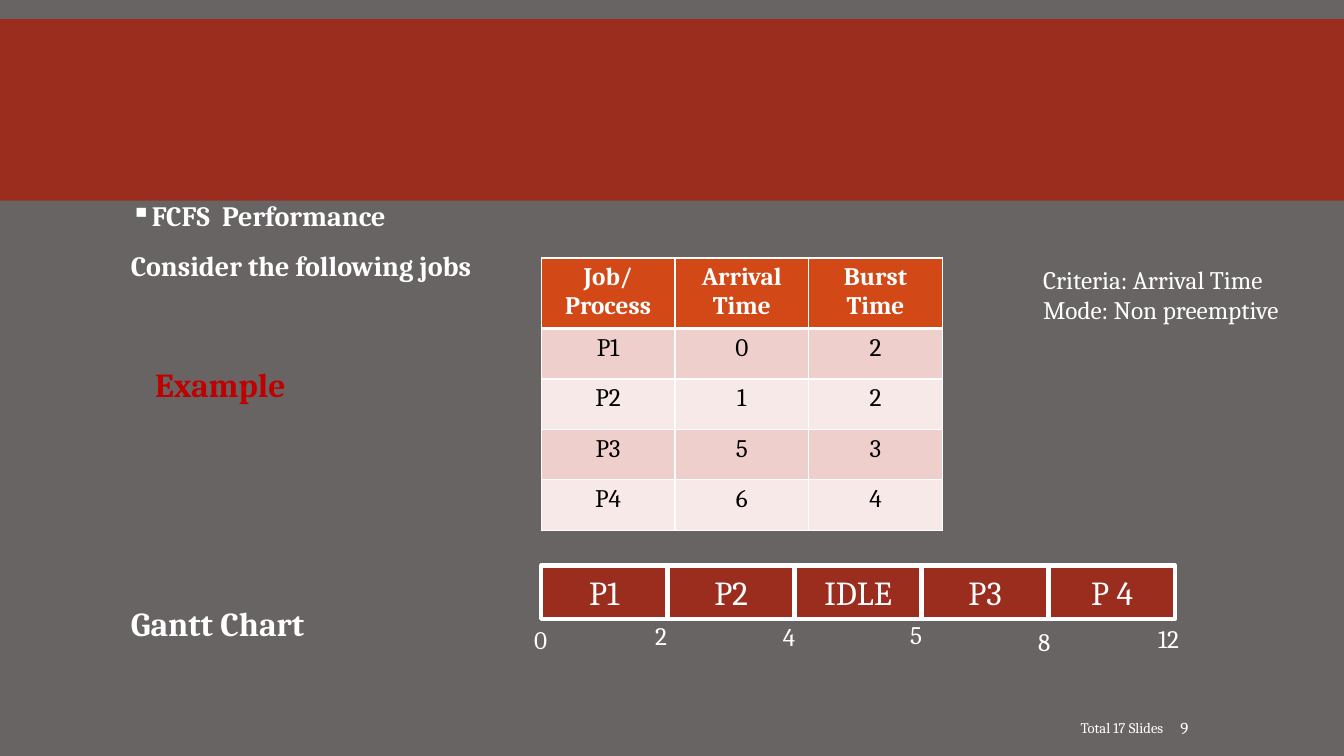
from lxml.etree import SubElement
from pptx import Presentation
from pptx.dml.color import RGBColor
from pptx.enum.shapes import MSO_SHAPE
from pptx.enum.text import MSO_ANCHOR, PP_ALIGN
from pptx.oxml.ns import qn
from pptx.util import Pt

WHITE, RUST, ORANGE, RED = "FFFFFF", "9B2D1F", "D34817", "C00000"
BANDS = ["EFCFCC", "F7E9E8"]
BODY = ["FCFS  Performance", "Consider the following jobs", "Gantt Chart"]
JOBS = [
    ("Job/Process", "Arrival Time", "Burst Time"),
    ("P1", "0", "2"),
    ("P2", "1", "2"),
    ("P3", "5", "3"),
    ("P4", "6", "4"),
]
BARS = ["P1", "P2", "IDLE", "P3", "P 4"]
TICKS = [
    ("0", 374.4, 442.1),
    ("2", 460.8, 439.2),
    ("4", 552.2, 440.6),
    ("5", 643, 438.5),
    ("8", 734.4, 443.5),
    ("12", 820.1, 441.4),
]
CRITERIA = ["Criteria: Arrival Time", "Mode: Non preemptive"]
LEFT, STEP = 386.6, 90.7


def color(code):
    return RGBColor.from_string(code)


def write(frame, text, size=18, ink=WHITE, bold=False, align=PP_ALIGN.LEFT, first=True):
    para = frame.paragraphs[0] if first else frame.add_paragraph()
    para.alignment = align
    run = para.add_run()
    run.text = text
    font = run.font
    font.name, font.size, font.bold = "Cambria", Pt(size), bold
    font.color.rgb = color(ink)
    return para


def frame_at(x, y, w, h, wrap=True, anchor=MSO_ANCHOR.TOP):
    frame = slide.shapes.add_textbox(Pt(x), Pt(y), Pt(w), Pt(h)).text_frame
    frame.word_wrap = wrap
    frame.vertical_anchor = anchor
    return frame


def block(x, y, w, h, edge=0):
    shape = slide.shapes.add_shape(MSO_SHAPE.RECTANGLE, Pt(x), Pt(y), Pt(w), Pt(h))
    shape.shadow.inherit = False
    shape.fill.solid()
    shape.fill.fore_color.rgb = color(RUST)
    if edge:
        shape.line.color.rgb = color(WHITE)
        shape.line.width = Pt(edge)
    else:
        shape.line.fill.background()
    return shape.text_frame


def border(cell, base):
    props = cell._tc.get_or_add_tcPr()
    for spot, (side, width) in enumerate([("L", 1), ("R", 1), ("T", 1), ("B", base)]):
        line = props.makeelement(qn("a:ln" + side), {"w": str(Pt(width))})
        fill = SubElement(line, qn("a:solidFill"))
        SubElement(fill, qn("a:srgbClr"), val=WHITE)
        props.insert(spot, line)


deck = Presentation()
deck.slide_width, deck.slide_height = Pt(960), Pt(540)
slide = deck.slides.add_slide(deck.slide_layouts[6])
slide.background.fill.solid()
slide.background.fill.fore_color.rgb = color("696464")

block(0, 13.7, 960, 129.6)

frame = frame_at(86.4, 141.1, 787.7, 390)
for i, (text, size, gap) in enumerate(zip(BODY, [20, 20, 24], [12, 12, 230])):
    para = write(frame, text, size, bold=True, first=i == 0)
    para.line_spacing = 0.9
    para.space_before, para.space_after = Pt(gap), Pt(2)
props = frame.paragraphs[0]._p.get_or_add_pPr()
props.set("marL", str(Pt(14.4)))
props.set("indent", str(-Pt(14.4)))
tint = SubElement(props, qn("a:buClr"))
SubElement(tint, qn("a:srgbClr"), val=WHITE)
SubElement(props, qn("a:buChar"), char="▪")

table = slide.shapes.add_table(
    len(JOBS), 3, Pt(LEFT), Pt(184.3), Pt(286.5), Pt(192.5)
).table
for col in table.columns:
    col.width = Pt(95.5)
for r, job in enumerate(JOBS):
    head = r == 0
    table.rows[r].height = Pt(48.5 if head else 36)
    for c, text in enumerate(job):
        cell = table.cell(r, c)
        cell.fill.solid()
        cell.fill.fore_color.rgb = color(ORANGE if head else BANDS[(r - 1) % 2])
        border(cell, 3 if head else 1)
        write(cell.text_frame, text, ink=WHITE if head else "000000",
              bold=head, align=PP_ALIGN.CENTER)

for i, text in enumerate(BARS):
    frame = block(LEFT + i * STEP, 403.9, 90, 38.2, 3)
    frame.vertical_anchor = MSO_ANCHOR.MIDDLE
    write(frame, text, 24, align=PP_ALIGN.CENTER)

for text, x, y in TICKS:
    write(frame_at(x, y, 44.6, 28.8), text)

write(frame_at(103.7, 256.3, 214.6, 36), "Example", 24, RED, True)

frame = frame_at(738, 185, 198.7, 51.1, wrap=False)
for i, text in enumerate(CRITERIA):
    write(frame, text, first=i == 0)

write(frame_at(440.6, 505.4, 397.4, 28.8, anchor=MSO_ANCHOR.MIDDLE),
      "Total 17 Slides", 10.5, align=PP_ALIGN.RIGHT)
frame = frame_at(839.5, 505.4, 74.2, 28.8, anchor=MSO_ANCHOR.MIDDLE)
frame.margin_left = Pt(3.6)
write(frame, "9", 12)

deck.save("out.pptx")
